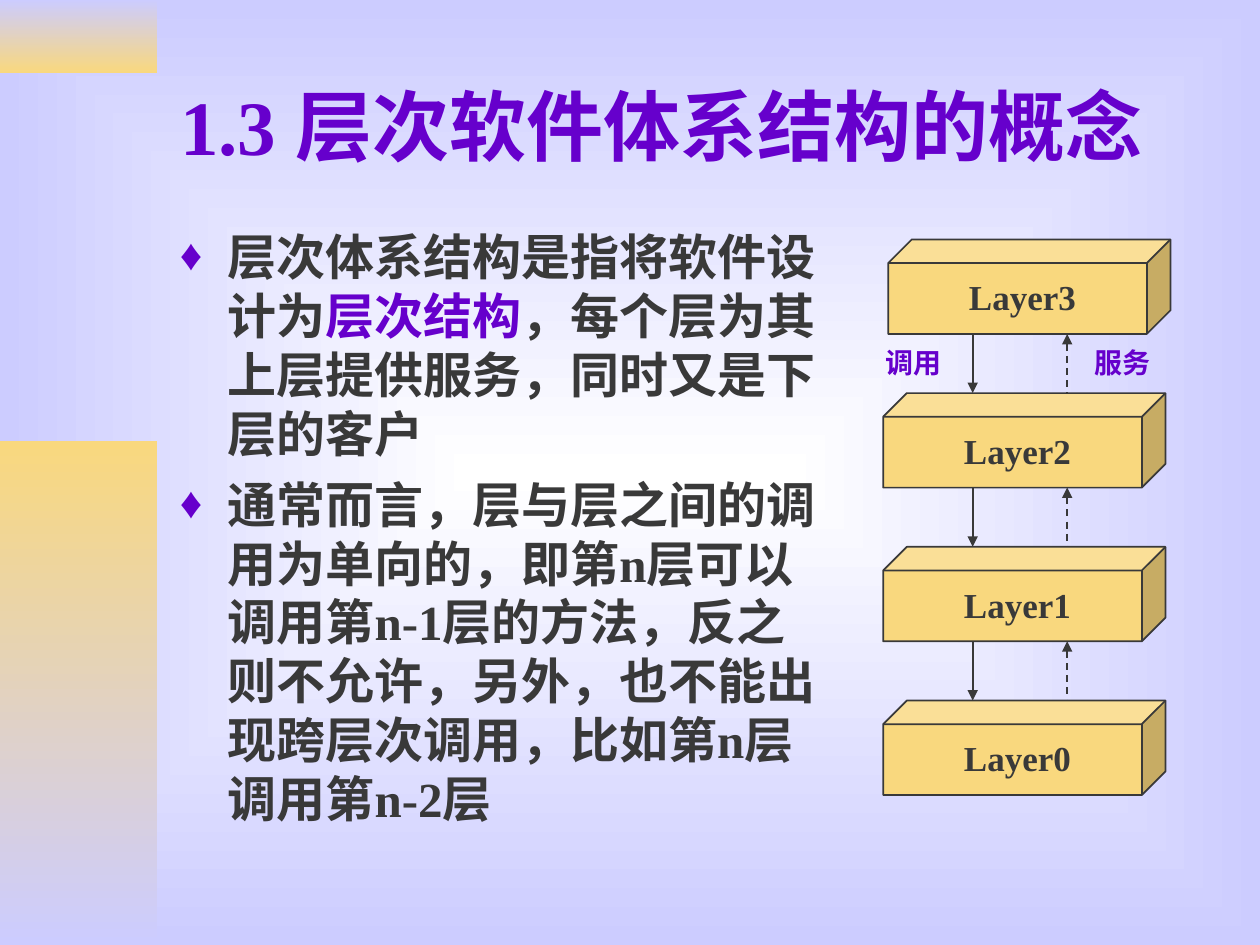
from dataclasses import dataclass

from lxml.etree import SubElement
from pptx import Presentation
from pptx.dml.color import RGBColor
from pptx.enum.dml import MSO_LINE_DASH_STYLE as DASH
from pptx.enum.shapes import MSO_CONNECTOR as CONNECTOR, MSO_SHAPE as SHAPE
from pptx.enum.text import MSO_ANCHOR as ANCHOR, PP_ALIGN as ALIGN
from pptx.oxml.ns import qn
from pptx.util import Inches, Pt


@dataclass(frozen=True)
class Theme:
    font: str = "Times New Roman"
    ink: str = "393939"
    accent: str = "6600CC"
    gold: str = "F9D87E"
    lavender: str = "CCCCFF"
    white: str = "FFFFFF"
    title: int = 44
    body: int = 28
    layer: int = 20
    note: int = 16


def rgb(color):
    return RGBColor.from_string(color)


def fill_gradient(fill, colors):
    """Fill from the first colour down to the second."""
    fill.gradient()
    fill.gradient_angle = 270
    for stop, color in zip(fill.gradient_stops, colors):
        stop.color.rgb = rgb(color)


class SlideBuilder:
    def __init__(self, prs, theme):
        self.theme = theme
        self.s = prs.slides.add_slide(prs.slide_layouts[5])

    def style(self, r, size, color):
        r.font.name = self.theme.font
        r.font.size = Pt(size)
        r.font.bold = True
        r.font.color.rgb = rgb(color)

    def background(self, center, edge):
        """Spread a rectangular gradient from the middle of the slide."""
        fill_gradient(self.s.background.fill, (center, edge))
        grad = self.s.element.find(".//" + qn("a:gradFill"))
        grad.remove(grad.find(qn("a:lin")))
        spread = SubElement(grad, qn("a:path"), path="rect")
        SubElement(spread, qn("a:fillToRect"),
                   {side: "50000" for side in "ltrb"})

    def band(self, top, height, colors):
        sp = self.s.shapes.add_shape(SHAPE.RECTANGLE, 0, Inches(top),
                                     Inches(1.25), Inches(height))
        sp.shadow.inherit = False
        sp.line.fill.background()
        fill_gradient(sp.fill, colors)

    def title(self, text, left, top, width, height):
        sp = self.s.shapes.title
        sp.left, sp.top = Inches(left), Inches(top)
        sp.width, sp.height = Inches(width), Inches(height)
        tf = sp.text_frame
        tf.text = text
        tf.vertical_anchor = ANCHOR.MIDDLE
        p = tf.paragraphs[0]
        p.alignment = ALIGN.LEFT
        self.style(p.runs[0], self.theme.title, self.theme.accent)

    def text_box(self, left, top, width, height, wrap=True):
        box = self.s.shapes.add_textbox(Inches(left), Inches(top),
                                        Inches(width), Inches(height))
        box.text_frame.word_wrap = wrap
        return box.text_frame

    def label(self, text, left, top, width, height, size, color,
              align=ALIGN.LEFT, wrap=True):
        tf = self.text_box(left, top, width, height, wrap)
        tf.text = text
        p = tf.paragraphs[0]
        p.alignment = align
        self.style(p.runs[0], size, color)

    def bullets(self, items, left, top, width, height):
        """Each item is a list of (text, colour) runs."""
        tf = self.text_box(left, top, width, height)
        for i, item in enumerate(items):
            p = tf.add_paragraph() if i else tf.paragraphs[0]
            self.add_bullet(p)
            if i:
                p.space_before = Pt(7)
            for text, color in item:
                r = p.add_run()
                r.text = text
                self.style(r, self.theme.body, color)

    def add_bullet(self, p):
        pPr = p._p.get_or_add_pPr()
        indent = Inches(0.38)
        pPr.set("marL", str(indent))
        pPr.set("indent", str(-indent))
        color = SubElement(pPr, qn("a:buClr"))
        SubElement(color, qn("a:srgbClr"), val=self.theme.accent)
        SubElement(pPr, qn("a:buSzPct"), val="90000")
        SubElement(pPr, qn("a:buFont"), typeface=self.theme.font)
        SubElement(pPr, qn("a:buChar"), char="♦")

    def layer(self, text, left, top):
        sp = self.s.shapes.add_shape(SHAPE.CUBE, Inches(left), Inches(top),
                                     Inches(2.24), Inches(0.75))
        sp.shadow.inherit = False
        sp.fill.solid()
        sp.fill.fore_color.rgb = rgb(self.theme.gold)
        sp.line.color.rgb = rgb(self.theme.ink)
        sp.line.width = Pt(1)
        self.label(text, left + 0.16, top + 0.24, 1.81, 0.44,
                   self.theme.layer, self.theme.ink, ALIGN.CENTER)

    def arrow(self, x, top, bottom, up=False):
        """Draw a solid arrow down, or a dashed one up."""
        line = self.s.shapes.add_connector(CONNECTOR.STRAIGHT, Inches(x),
                                           Inches(top), Inches(x),
                                           Inches(bottom))
        line.line.color.rgb = rgb(self.theme.ink)
        line.line.width = Pt(1)
        if up:
            line.line.dash_style = DASH.DASH
        SubElement(line.line._get_or_add_ln(),
                   qn("a:headEnd" if up else "a:tailEnd"), type="triangle")
        SubElement(line._element.spPr, qn("a:effectLst"))


def main():
    prs = Presentation()
    prs.slide_width, prs.slide_height = Inches(10), Inches(7.5)
    theme = Theme()
    slide = SlideBuilder(prs, theme)

    slide.background(theme.white, theme.lavender)
    slide.band(0, 0.58, (theme.lavender, theme.gold))
    slide.band(3.5, 4, (theme.gold, theme.lavender))
    slide.title("1.3 层次软件体系结构的概念", 1.33, 0.33, 8.5, 1.32)
    slide.bullets([
        [("层次体系结构是指将软件设计为", theme.ink),
         ("层次结构", theme.accent),
         ("，每个层为其上层提供服务，同时又是下层的客户", theme.ink)],
        [("通常而言，层与层之间的调用为单向的，即第n层可以调用第n-1层的方法，"
          "反之则不允许，另外，也不能出现跨层次调用，比如第n层调用第n-2层",
          theme.ink)],
    ], 1.33, 1.75, 5.28, 4.92)

    first_top, pitch, depth = 1.9, 1.22, 0.75
    lefts = (7.05, 7.01, 7.01, 7.01)
    for i, left in enumerate(lefts):
        slide.layer(f"Layer{3 - i}", left, first_top + i * pitch)
    for i in range(len(lefts) - 1):
        top = first_top + i * pitch + depth
        bottom = first_top + (i + 1) * pitch
        slide.arrow(7.72, top, bottom)
        slide.arrow(8.47, top, bottom, up=True)

    for text, left in (("调用", 6.93), ("服务", 8.59)):
        slide.label(text, left, 2.69, 0.64, 0.37, theme.note, theme.accent,
                    wrap=False)

    prs.save("out.pptx")


if __name__ == "__main__":
    main()
